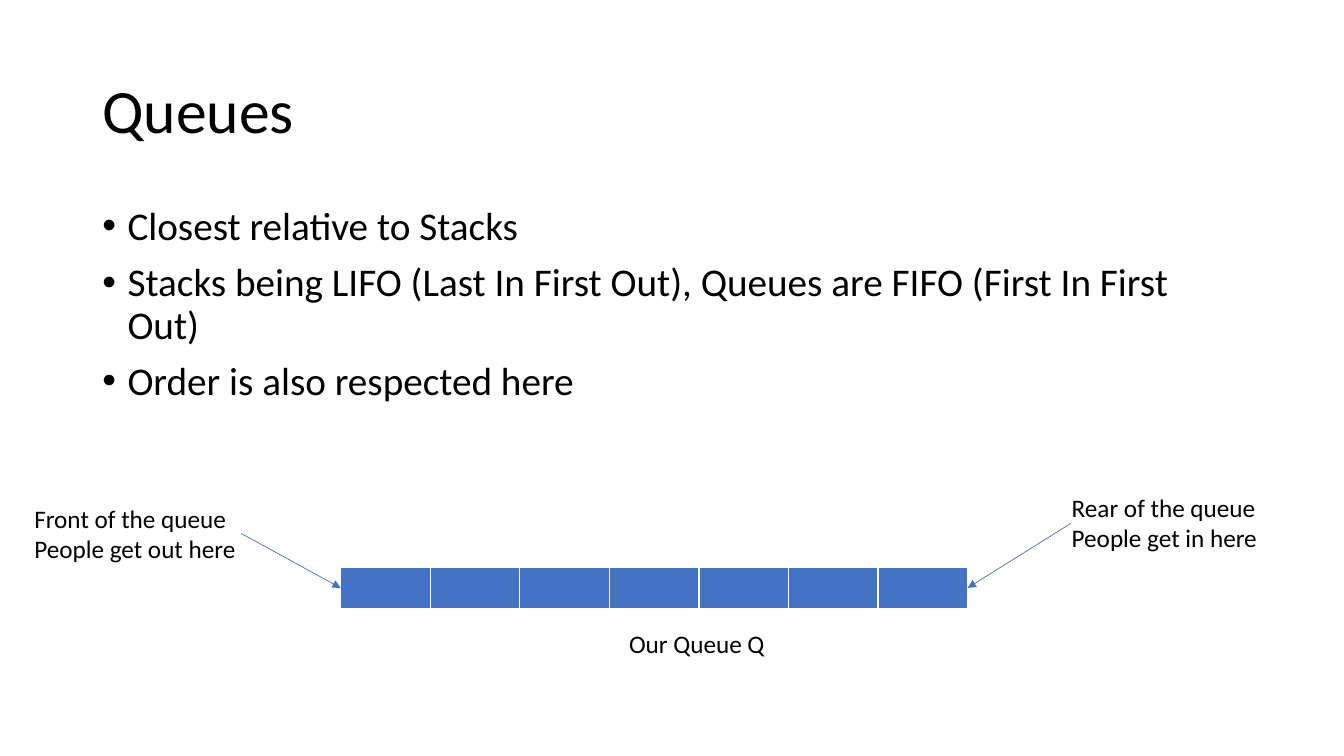
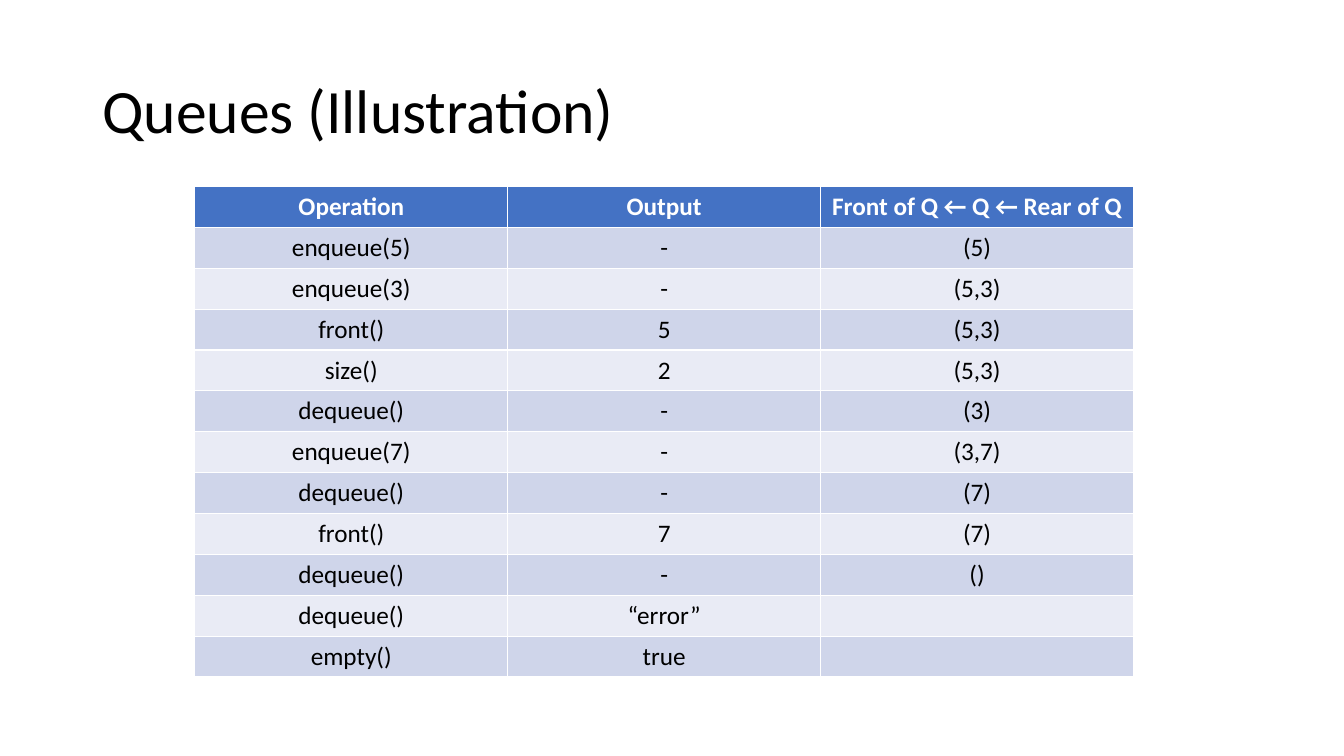
from dataclasses import dataclass, field
from typing import Any

from lxml.etree import SubElement as Sub
from pptx import Presentation
from pptx.dml.color import RGBColor as RGB
from pptx.enum.shapes import MSO_CONNECTOR as Conn
from pptx.enum.text import MSO_ANCHOR as Anchor, MSO_AUTO_SIZE as Fit, PP_ALIGN as Align
from pptx.oxml.ns import qn
from pptx.util import Emu, Inches, Pt

WIDTH, HEIGHT = Inches(13.33), Inches(7.5)
COLUMNS, ROWS = 160, 90
COLORS = {
    "page": "FFFFFF",
    "text": "000000",
    "accent": "4472C4",
    "odd": "CFD5EA",
    "even": "E9EBF5",
}
BODY = {"name": "Calibri", "size": Pt(18), "bold": False}
HEADER = BODY | {"bold": True}
TITLE = BODY | {"size": Pt(44)}
BULLET = BODY | {"size": Pt(28)}
TIGHT = {"line_spacing": 0.9}
SPACED = TIGHT | {"space_before": Pt(10)}
CENTERED = {"alignment": Align.CENTER}
GROW = {"auto_size": Fit.SHAPE_TO_FIT_TEXT, "word_wrap": True}


@dataclass
class Box:
    x: float
    y: float
    w: float
    h: float

    def place(self) -> tuple[Emu, Emu, Emu, Emu]:
        return col(self.x), row(self.y), col(self.w), row(self.h)


@dataclass
class Label:
    lines: list[str]
    box: Box
    font: dict[str, Any] = field(default_factory=lambda: BODY)
    para: dict[str, Any] = field(default_factory=dict)
    frame: dict[str, Any] = field(default_factory=lambda: GROW)
    bullet: str = ""


@dataclass
class Arrow:
    x1: float
    y1: float
    x2: float
    y2: float


def col(n: float) -> Emu:
    return Emu(round(WIDTH * n / COLUMNS))


def row(n: float) -> Emu:
    return Emu(round(HEIGHT * n / ROWS))


def rgb(name: str) -> RGB:
    return RGB.from_string(COLORS[name])


def apply(target: Any, values: dict[str, Any]) -> None:
    for name, value in values.items():
        setattr(target, name, value)


def write(p: Any, text: str, font: dict[str, Any], para: dict[str, Any],
          color: str = "text") -> None:
    apply(p, para)
    r = p.add_run()
    r.text = text
    apply(r.font, font)
    r.font.color.rgb = rgb(color)


def add_bullet(p: Any, char: str) -> None:
    props = p._p.get_or_add_pPr()
    props.set("marL", str(Inches(0.25)))
    props.set("indent", str(-Inches(0.25)))
    Sub(props, qn("a:buFont")).set("typeface", "Arial")
    Sub(props, qn("a:buChar")).set("char", char)


def add_label(s: Any, label: Label) -> None:
    tf = s.shapes.add_textbox(*label.box.place()).text_frame
    apply(tf, label.frame)
    for i, line in enumerate(label.lines):
        p = tf.add_paragraph() if i else tf.paragraphs[0]
        write(p, line, label.font, label.para)
        if label.bullet:
            add_bullet(p, label.bullet)


def add_arrow(s: Any, arrow: Arrow) -> None:
    sp = s.shapes.add_connector(Conn.STRAIGHT, col(arrow.x1), row(arrow.y1),
                                col(arrow.x2), row(arrow.y2))
    sp.line.color.rgb = rgb("accent")
    sp.line.width = Pt(0.5)
    props = sp._element.spPr
    Sub(props.find(qn("a:ln")), qn("a:tailEnd")).set("type", "triangle")
    Sub(props, qn("a:effectLst"))


def add_grid(s: Any, cells: list[list[str]], box: Box) -> None:
    table = s.shapes.add_table(len(cells), len(cells[0]), *box.place()).table
    for i, texts in enumerate(cells):
        fill = "accent" if i == 0 else "odd" if i % 2 else "even"
        font, color = (BODY, "text") if i else (HEADER, "page")
        for j, text in enumerate(texts):
            cell = table.cell(i, j)
            cell.fill.solid()
            cell.fill.fore_color.rgb = rgb(fill)
            if text:
                write(cell.text_frame.paragraphs[0], text, font, CENTERED, color)


def add_titled_slide(prs: Any, title: str) -> Any:
    s = prs.slides.add_slide(prs.slide_layouts[6])
    s.background.fill.solid()
    s.background.fill.fore_color.rgb = rgb("page")
    add_label(s, Label([title], Box(11, 4.8, 138, 17.4), TITLE, TIGHT,
                       {"word_wrap": True, "vertical_anchor": Anchor.MIDDLE}))
    return s


QUEUE = Box(40.56, 67.56, 74.64, 4.87)
QUEUE_MIDDLE = QUEUE.y + QUEUE.h / 2
LABELS = [
    Label(["Closest relative to Stacks",
           "Stacks being LIFO (Last In First Out), Queues are FIFO (First In First Out)",
           "Order is also respected here"],
          Box(11, 24, 138, 64), BULLET, SPACED, {"word_wrap": True}, "•"),
    Label(["Our Queue Q"], Box(73.7, 74.2, 18.7, 4.85), frame=GROW | {"word_wrap": False}),
    Label(["Rear of the queue", "People get in here"], Box(126.4, 58, 25.2, 8.5)),
    Label(["Front of the queue", "People get out here"], Box(2.9, 59.3, 26.4, 8.5)),
]
ARROWS = [
    Arrow(127.5, 62.3, QUEUE.x + QUEUE.w, QUEUE_MIDDLE),
    Arrow(28.7, 63.5, QUEUE.x, QUEUE_MIDDLE),
]
OPERATIONS = [
    ["Operation", "Output", "Front of Q ← Q ← Rear of Q"],
    ["enqueue(5)", "-", "(5)"],
    ["enqueue(3)", "-", "(5,3)"],
    ["front()", "5", "(5,3)"],
    ["size()", "2", "(5,3)"],
    ["dequeue()", "-", "(3)"],
    ["enqueue(7)", "-", "(3,7)"],
    ["dequeue()", "-", "(7)"],
    ["front()", "7", "(7)"],
    ["dequeue()", "-", "()"],
    ["dequeue()", "“error”", ""],
    ["empty()", "true", ""],
]

prs = Presentation()
apply(prs, {"slide_width": WIDTH, "slide_height": HEIGHT})

s = add_titled_slide(prs, "Queues")
add_grid(s, [[""] * 7], QUEUE)
for label in LABELS:
    add_label(s, label)
for arrow in ARROWS:
    add_arrow(s, arrow)

s = add_titled_slide(prs, "Queues (Illustration)")
add_grid(s, OPERATIONS, Box(23.2, 22.2, 111.75, QUEUE.h * len(OPERATIONS)))

prs.save("out.pptx")
